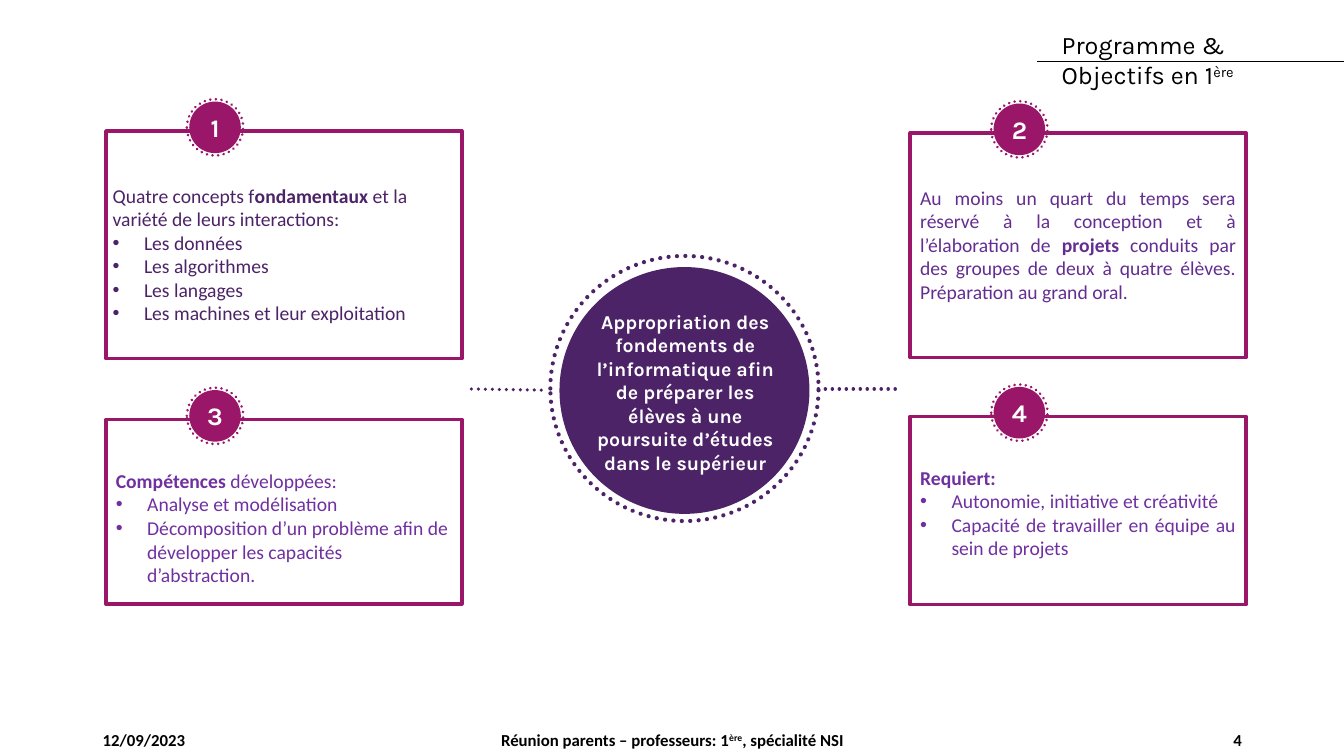
from lxml.etree import SubElement as Sub
from pptx import Presentation
from pptx.dml.color import RGBColor as Rgb
from pptx.enum.dml import MSO_LINE as Dash
from pptx.enum.shapes import MSO_CONNECTOR as Conn, MSO_SHAPE as Kind
from pptx.enum.text import MSO_ANCHOR as Anchor, MSO_AUTO_SIZE as Fit, PP_ALIGN as Align
from pptx.oxml.ns import qn
from pptx.util import Cm, Pt


class Theme:
    plum = "4D2368"
    berry = "9A1668"
    violet = "7030A0"
    grape = "642D90"
    white = "FFFFFF"
    black = "000000"
    body = "Calibri"
    head = "Karla"
    big = 18
    mid = 14
    small = 12


def write(text, at=None, box=None, size=Theme.mid, font=Theme.body, color=Theme.black,
          bold=False, align=Align.LEFT, anchor=Anchor.TOP, fit=Fit.SHAPE_TO_FIT_TEXT):
    """Fill a box; *...* marks bold, ^...^ superscript, a leading • a bullet."""
    box = box or shapes.add_textbox(*map(Cm, at))
    frame = box.text_frame
    frame.word_wrap = True
    frame.auto_size = fit
    frame.vertical_anchor = anchor
    for i, line in enumerate(text.split("\n")):
        para = frame.add_paragraph() if i else frame.paragraphs[0]
        para.alignment = align
        if line.startswith("•"):
            line = line[1:].strip()
            props = para._p.get_or_add_pPr()
            props.set("marL", str(Cm(0.79)))
            props.set("indent", str(-Cm(0.79)))
            Sub(props, qn("a:buFont"), typeface="Arial")
            Sub(props, qn("a:buChar"), char="•")
        for j, part in enumerate(line.split("*")):
            for k, bit in enumerate(part.split("^")):
                if not bit:
                    continue
                run = para.add_run()
                run.text = bit
                run.font.name = font
                run.font.size = Pt(size)
                run.font.bold = bold or j % 2 == 1
                run.font.color.rgb = Rgb.from_string(color)
                if k % 2:
                    run._r.get_or_add_rPr().set("baseline", "30000")


def style(item, line, width, dots=False):
    """Give a shape or connector its line, without any shadow."""
    props = item._element.spPr
    item.line.color.rgb = Rgb.from_string(line)
    item.line.width = Pt(width)
    if dots:
        item.line.dash_style = Dash.ROUND_DOT
        props.find(qn("a:ln")).set("cap", "rnd")
    Sub(props, qn("a:effectLst"))


deck = Presentation()
deck.slide_width, deck.slide_height = Cm(33.87), Cm(19.05)
slide = deck.slides.add_slide(deck.slide_layouts[5])
shapes = slide.shapes

# Title
title = shapes.title
title.left, title.top, title.width, title.height = map(Cm, (26.5, 0.61, 6.83, 1.8))
write("Programme & Objectifs en 1^ère^", box=title, size=Theme.big, font=Theme.head)

# Four numbered cards: left, top, width, height, text shift, colour, alignment, text
cards = [
    (2.67, 3.3, 8.97, 5.74, (-0.08, 1.2), Theme.plum, Align.LEFT,
     "Quatre concepts f*ondamentaux* et la variété de leurs interactions:\n"
     "• Les données\n• Les algorithmes\n• Les langages\n"
     "• Les machines et leur exploitation"),
    (22.94, 3.35, 8.46, 5.66, (0, 1.2), Theme.grape, Align.JUSTIFY,
     "Au moins un quart du temps sera réservé à la conception et à l’élaboration "
     "de *projets* conduits par des groupes de deux à quatre élèves. "
     "Préparation au grand oral."),
    (2.67, 10.57, 8.97, 4.65, (0, 1.12), Theme.violet, Align.LEFT,
     "*Compétences* développées:\n• Analyse et modélisation\n"
     "• Décomposition d’un problème afin de développer les capacités d’abstraction."),
    (22.94, 10.49, 8.46, 4.75, (0, 1.12), Theme.violet, Align.JUSTIFY,
     "*Requiert:*\n• Autonomie, initiative et créativité\n"
     "• Capacité de travailler en équipe au sein de projets"),
]
for num, (x, y, w, h, (dx, dy), color, align, text) in enumerate(cards, 1):
    card = shapes.add_shape(Kind.RECTANGLE, *map(Cm, (x, y, w, h)))
    card.fill.solid()
    card.fill.fore_color.rgb = Rgb.from_string(Theme.white)
    style(card, Theme.berry, 2.5)
    write(text, (x + dx, y + dy, w, h - 2 * dy), color=color, align=align)

    # Badge on the top edge
    mx, my = x + 2.75, y - 0.09
    disc = shapes.add_shape(Kind.OVAL, *map(Cm, (mx - 0.65, my - 0.65, 1.3, 1.3)))
    disc.fill.solid()
    disc.fill.fore_color.rgb = Rgb.from_string(Theme.berry)
    disc.line.fill.background()
    disc.shadow.inherit = False
    ring = shapes.add_shape(Kind.OVAL, *map(Cm, (mx - 0.71, my - 0.71, 1.42, 1.42)))
    ring.fill.background()
    style(ring, Theme.berry, 2, dots=True)
    write(str(num), (mx - 0.52, my - 0.51, 1.04, 1.02), size=Theme.big,
          font=Theme.head, color=Theme.white, bold=True, align=Align.CENTER)

# Central goal
halo = shapes.add_shape(Kind.OVAL, *map(Cm, (13.87, 6.45, 6.76, 6.68)))
halo.fill.background()
style(halo, Theme.plum, 3, dots=True)
core = shapes.add_shape(Kind.OVAL, *map(Cm, (14.1, 6.73, 6.3, 6.22)))
core.fill.solid()
core.fill.fore_color.rgb = Rgb.from_string(Theme.plum)
core.line.fill.background()
core.shadow.inherit = False
write("Appropriation des fondements de l’informatique afin de préparer les élèves "
      "à une poursuite d’études dans le supérieur", (14.6, 7.68, 5.34, 5.12),
      font=Theme.head, color=Theme.white, bold=True, align=Align.CENTER)

# Dotted links and title rule
lines = [
    ((13.64, 9.83, 11.76, 9.8), Theme.plum, 2.5, True),
    ((22.56, 9.8, 20.5, 9.8), Theme.plum, 2.5, True),
    ((26.14, 1.55, 33.87, 1.55), Theme.black, 0.5, False),
]
for ends, color, width, dots in lines:
    link = shapes.add_connector(Conn.STRAIGHT, *map(Cm, ends))
    style(link, color, width, dots)

# Footer
foot = [
    ("12/09/2023", 2.34, 7.62, Align.LEFT),
    ("Réunion parents – professeurs: 1^ère^, spécialité NSI", 11.23, 11.43, Align.CENTER),
    ("4", 23.93, 7.62, Align.RIGHT),
]
for text, x, w, align in foot:
    write(text, (x, 18.14, w, 1.02), size=Theme.small, bold=True, align=align,
          anchor=Anchor.MIDDLE, fit=Fit.NONE)

deck.save("out.pptx")
